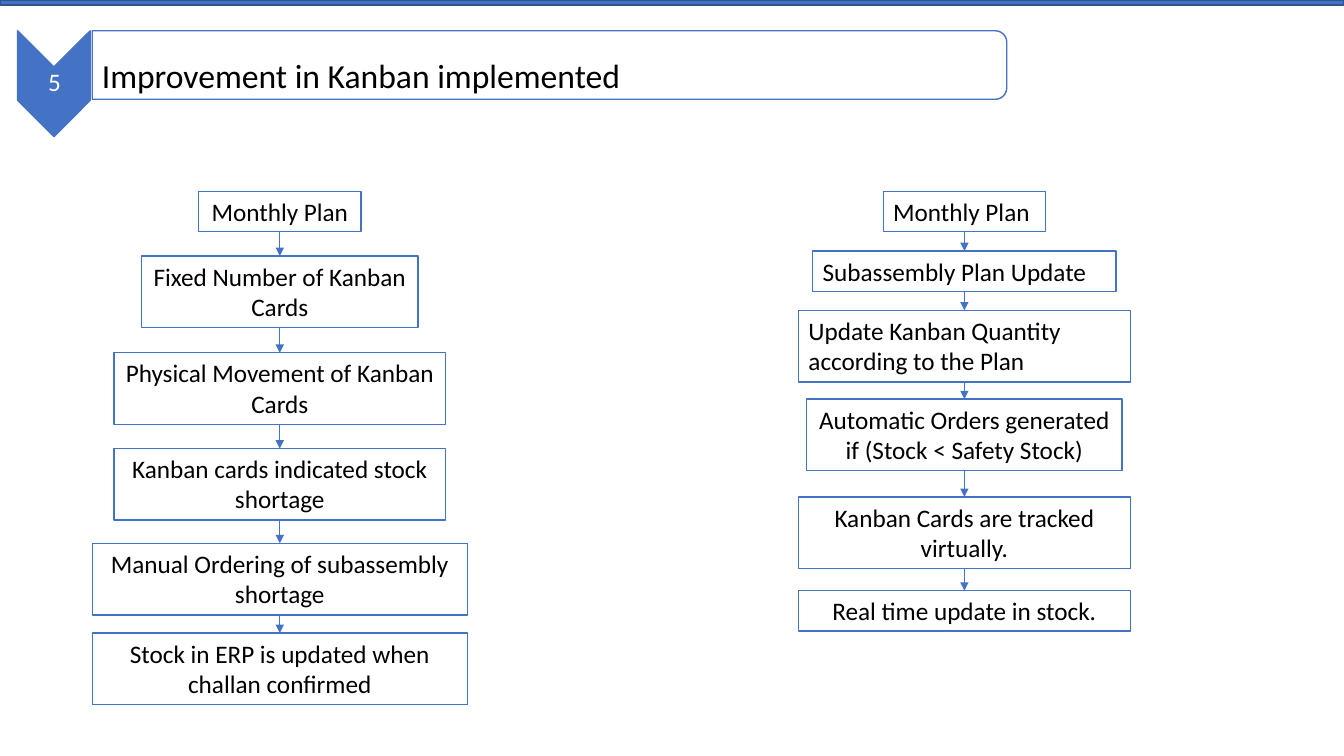
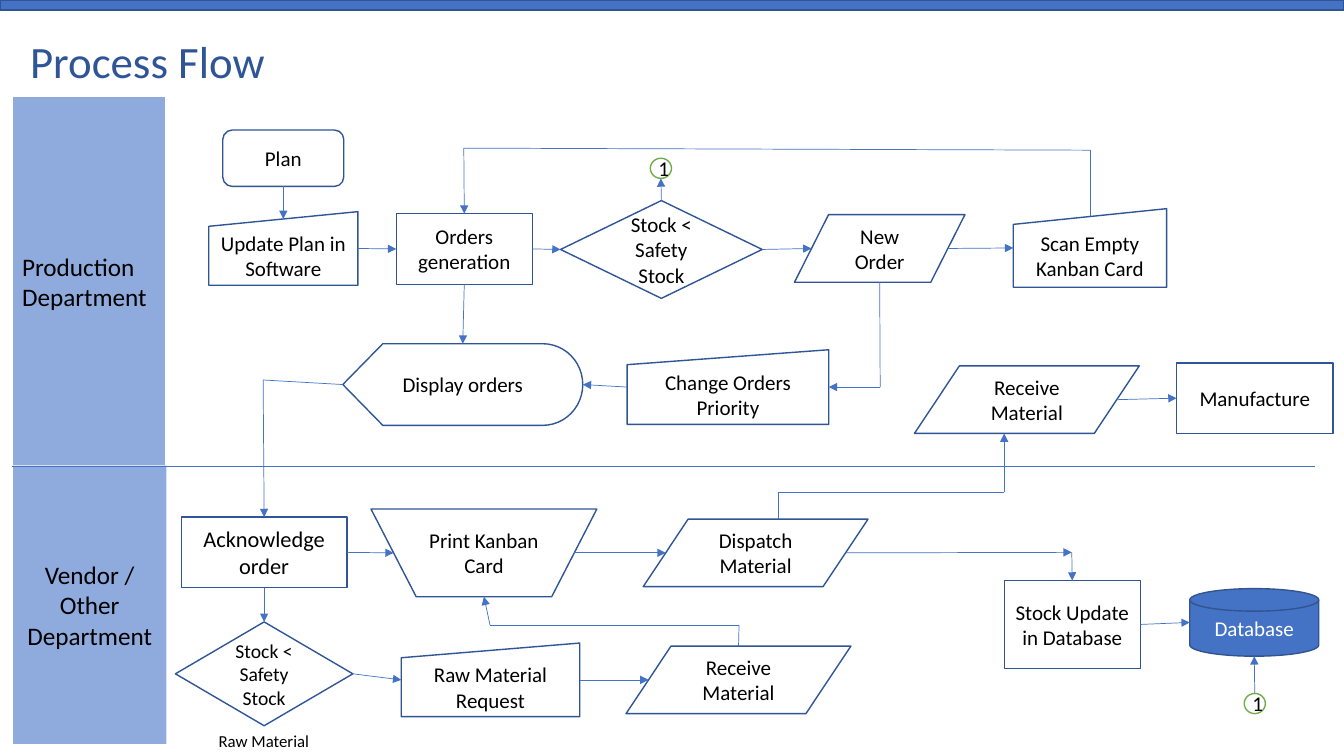
import itertools
from dataclasses import dataclass

import pptx
import pptx.dml.color
import pptx.enum.shapes
import pptx.enum.text
import pptx.oxml.ns
import pptx.util
from lxml import etree

Inches = pptx.util.Inches
SHAPE = pptx.enum.shapes.MSO_SHAPE
ALIGN = pptx.enum.text.PP_ALIGN
ANCHOR = pptx.enum.text.MSO_ANCHOR


@dataclass(frozen=True)
class Theme:
    font: str = "Calibri"
    accent: str = "4472C4"
    edge: str = "325491"
    dark: str = "2F5597"
    lane: str = "8FAADC"
    green: str = "70AD47"
    white: str = "FFFFFF"
    black: str = "000000"
    title: int = 32
    heading: int = 24
    body: int = 18
    node: int = 15
    note: int = 12
    outline: float = 1
    arrow: float = 0.5


T = Theme()
SLIDE_W, SLIDE_H = 13.33, 7.5

# Content: Kanban before and after
HEADING_NUMBER, HEADING = "5", "Improvement in Kanban implemented"
ONE_LINE, TWO_LINES = 0.4, 0.71
L, C = ALIGN.LEFT, ALIGN.CENTER
COLUMNS = [  # centre x, then boxes: text, top, width, height, alignment
    (2.775, [
        ("Monthly Plan", 1.9, 1.61, ONE_LINE, C),
        ("Fixed Number of Kanban Cards", 2.54, 2.74, TWO_LINES, C),
        ("Physical Movement of Kanban Cards", 3.5, 3.29, TWO_LINES, C),
        ("Kanban cards indicated stock shortage", 4.45, 3.29, TWO_LINES, C),
        ("Manual Ordering of subassembly shortage", 5.39, 3.72, TWO_LINES, C),
        ("Stock in ERP is updated when challan confirmed", 6.28, 3.72, TWO_LINES, C),
    ]),
    (9.565, [
        ("Monthly Plan", 1.9, 1.61, ONE_LINE, L),
        ("Subassembly Plan Update", 2.49, 3.01, ONE_LINE, L),
        ("Update Kanban Quantity according to the Plan", 3.08, 3.29, TWO_LINES, L),
        ("Automatic Orders generated if (Stock < Safety Stock)", 3.96, 3.13, TWO_LINES, C),
        ("Kanban Cards are tracked virtually.", 4.93, 3.29, TWO_LINES, C),
        ("Real time update in stock.", 5.86, 3.29, ONE_LINE, C),
    ]),
]

# Content: process flow
FLOW_TITLE = "Process Flow"
LANES = [  # text, box, alignment, outline
    ("Production Department", (0.12, 0.96, 1.52, 3.66), L, T.white),
    ("Vendor /\nOther Department", (0.13, 4.62, 1.52, 2.76), C, None),
]
LANE_LINE = [(0.12, 4.63), (13.04, 4.63)]
PROCESS, INPUT = SHAPE.FLOWCHART_PROCESS, SHAPE.FLOWCHART_MANUAL_INPUT
DATA, DECISION = SHAPE.FLOWCHART_DATA, SHAPE.FLOWCHART_DECISION
OPERATION, LINK = SHAPE.FLOWCHART_MANUAL_OPERATION, SHAPE.FLOWCHART_CONNECTOR
DISK = SHAPE.FLOWCHART_MAGNETIC_DISK
NODES = {  # preset, text, box
    "plan": (SHAPE.FLOWCHART_ALTERNATE_PROCESS, "Plan", (2.21, 1.29, 1.2, 0.56)),
    "software": (INPUT, "Update Plan in Software", (2.07, 2.1, 1.48, 0.73)),
    "orders": (PROCESS, "Orders generation", (3.93, 2.12, 1.35, 0.7)),
    "display": (SHAPE.FLOWCHART_DISPLAY, "Display orders", (3.4, 3.41, 2.38, 0.81)),
    "check": (DECISION, "Stock < Safety Stock", (5.56, 1.99, 2, 0.97)),
    "new": (DATA, "New Order", (7.88, 2.13, 1.69, 0.67)),
    "scan": (INPUT, "Scan Empty Kanban Card", (10.05, 2.07, 1.52, 0.78)),
    "priority": (INPUT, "Change Orders Priority", (6.22, 3.47, 2, 0.74)),
    "receive": (DATA, "Receive Material", (9.07, 3.63, 2.23, 0.67)),
    "make": (PROCESS, "Manufacture", (11.67, 3.6, 1.55, 0.7)),
    "ack": (PROCESS, "Acknowledge order", (1.8, 5.13, 1.64, 0.7)),
    "print": (OPERATION, "Print Kanban Card", (3.68, 5.05, 2.24, 0.87)),
    "dispatch": (DATA, "Dispatch Material", (6.38, 5.15, 2.23, 0.67)),
    "raw_check": (DECISION, "Stock < Safety Stock", (1.74, 6.17, 1.76, 1.03)),
    "request": (INPUT, "Raw Material Request", (3.98, 6.38, 1.77, 0.73)),
    "raw_in": (DATA, "Receive Material", (6.21, 6.41, 2.23, 0.67)),
    "update": (PROCESS, "Stock Update in Database", (9.96, 5.76, 1.35, 0.87)),
    "database": (DISK, "Database", (11.8, 5.84, 1.28, 0.67)),
    "link_out": (LINK, "1", (6.45, 1.57, 0.21, 0.2)),
    "link_in": (LINK, "1", (12.34, 6.88, 0.21, 0.2)),
}
NODE_SIZES = {"ack": 16, "raw_check": 14}
RAW_NOTE = ("Raw Material", (2.07, 7.2, 1.11, 0.3))
ROUTES = [  # node.side or a point; the arrowhead is at the end
    ["plan.b", "software.t"],
    ["software.r", "orders.l"],
    ["orders.b", "display.t"],
    ["orders.r", "check.l"],
    ["check.t", "link_out.b"],
    ["check.r", "new.l"],
    ["new.r", "scan.l"],
    ["scan.t", (10.81, 1.49), (4.6, 1.47), "orders.t"],
    ["new.b", (8.73, 3.84), "priority.r"],
    ["priority.l", "display.r"],
    ["display.l", (2.61, 3.77), "ack.t"],
    ["ack.r", "print.l"],
    ["print.r", "dispatch.l"],
    ["ack.b", "raw_check.t"],
    ["raw_check.r", "request.l"],
    ["request.r", "raw_in.l"],
    ["raw_in.t", (7.33, 6.2), (4.86, 6.2), "print.b"],
    [(7.72, 5.15), (7.72, 4.88), (9.96, 4.88), (9.96, 4.3)],
    ["receive.r", "make.l"],
    ["dispatch.r", (10.63, 5.48)],
    [(10.63, 5.48), "update.t"],
    ["update.r", "database.l"],
    ["link_in.t", "database.b"],
]


# Helpers
def rgb(value):
    return pptx.dml.color.RGBColor.from_string(value)


def write(sp, text, size=T.body, color=T.black, align=C, anchor=ANCHOR.MIDDLE,
          inset=(0.1, 0.05, 0.1, 0.05), spacing=None, wrap=True):
    tf = sp.text_frame
    tf.word_wrap, tf.vertical_anchor = wrap, anchor
    tf.margin_left, tf.margin_top, tf.margin_right, tf.margin_bottom = map(Inches, inset)
    for i, line in enumerate(text.split("\n")):
        p = tf.paragraphs[0] if i == 0 else tf.add_paragraph()
        p.alignment = align
        if spacing:
            p.line_spacing = spacing
        r = p.add_run()
        r.text = line
        r.font.name, r.font.size = T.font, pptx.util.Pt(size)
        r.font.color.rgb = rgb(color)


def add_box(s, preset, box, fill=T.white, line=T.accent, width=T.outline, rotation=0):
    sp = s.shapes.add_shape(preset, *map(Inches, box))
    sp.shadow.inherit = False
    sp.rotation = rotation
    sp.fill.solid()
    sp.fill.fore_color.rgb = rgb(fill)
    if line:
        sp.line.color.rgb = rgb(line)
        sp.line.width = pptx.util.Pt(width)
    else:
        sp.line.fill.background()
    return sp


def add_text(s, text, box, **fmt):
    write(s.shapes.add_textbox(*map(Inches, box)), text, **fmt)


def add_route(s, points, arrow=True):
    legs = list(itertools.pairwise(points))
    for i, (start, end) in enumerate(legs):
        cx = s.shapes.add_connector(pptx.enum.shapes.MSO_CONNECTOR.STRAIGHT,
                                    *map(Inches, start + end))
        cx.line.color.rgb = rgb(T.accent)
        cx.line.width = pptx.util.Pt(T.arrow)
        qn = pptx.oxml.ns.qn
        if arrow and i == len(legs) - 1:
            etree.SubElement(cx.line._get_or_add_ln(), qn("a:tailEnd"), type="triangle")
        etree.SubElement(cx._element.spPr, qn("a:effectLst"))


def side_point(ref):
    """Where a line meets a node; slanted sides lie a tenth inside the box."""
    if isinstance(ref, tuple):
        return ref
    name, side = ref.split(".")
    preset, _, (x, y, w, h) = NODES[name]
    dx = 0.1 * w if preset in (DATA, OPERATION) else 0
    dy = 0.1 * h if preset == INPUT else 0
    return {"l": (x + dx, y + h / 2), "r": (x + w - dx, y + h / 2),
            "t": (x + w / 2, y + dy), "b": (x + w / 2, y + h)}[side]


def new_slide(band_height):
    s = prs.slides.add_slide(prs.slide_layouts[6])
    add_box(s, SHAPE.RECTANGLE, (0, 0, SLIDE_W, band_height), T.accent, T.edge)
    return s


prs = pptx.Presentation()
prs.slide_width, prs.slide_height = Inches(SLIDE_W), Inches(SLIDE_H)

# Slide 1: numbered heading
s = new_slide(0.05)
add_box(s, SHAPE.CHEVRON, (0.01, 0.47, 1.05, 0.72), T.accent, rotation=90)
add_text(s, HEADING_NUMBER, (0.18, 0.67, 0.72, 0.32), color=T.white,
         inset=[0.01] * 4, spacing=0.9)
add_box(s, SHAPE.ROUND_2_SAME_RECTANGLE, (5.11, -3.89, 0.68, 9.07), rotation=90)
add_text(s, HEADING, (0.92, 0.33, 7.63, 0.62), size=T.heading, align=L,
         anchor=ANCHOR.BOTTOM, inset=(0.09, 0.01, 0.01, 0), spacing=0.9)

# Slide 1: two columns of steps
for center, steps in COLUMNS:
    for text, top, width, height, align in steps:
        sp = add_box(s, SHAPE.RECTANGLE, (center - width / 2, top, width, height))
        write(sp, text, align=align, anchor=ANCHOR.TOP)
    for (_, top, _, height, _), below in itertools.pairwise(steps):
        add_route(s, [(center, top + height), (center, below[1])])

# Slide 2: title and lanes
s = new_slide(0.1)
add_text(s, FLOW_TITLE, (0.2, 0.26, 12.68, 0.66), size=T.title, color=T.dark,
         align=L, anchor=ANCHOR.BOTTOM, spacing=0.9)
for text, box, align, line in LANES:
    write(add_box(s, SHAPE.RECTANGLE, box, T.lane, line, 0.75), text, align=align)
add_route(s, LANE_LINE, arrow=False)

# Slide 2: nodes and arrows
NODE_COLORS = {LINK: (T.white, T.green, T.black), DISK: (T.accent, T.edge, T.white)}
for name, (preset, text, box) in NODES.items():
    fill, line, color = NODE_COLORS.get(preset, (T.white, T.dark, T.black))
    write(add_box(s, preset, box, fill, line), text,
          size=NODE_SIZES.get(name, T.node), color=color)
for route in ROUTES:
    add_route(s, [side_point(ref) for ref in route])
add_text(s, RAW_NOTE[0], RAW_NOTE[1], size=T.note, align=L, anchor=ANCHOR.TOP, wrap=False)

prs.save("out.pptx")
